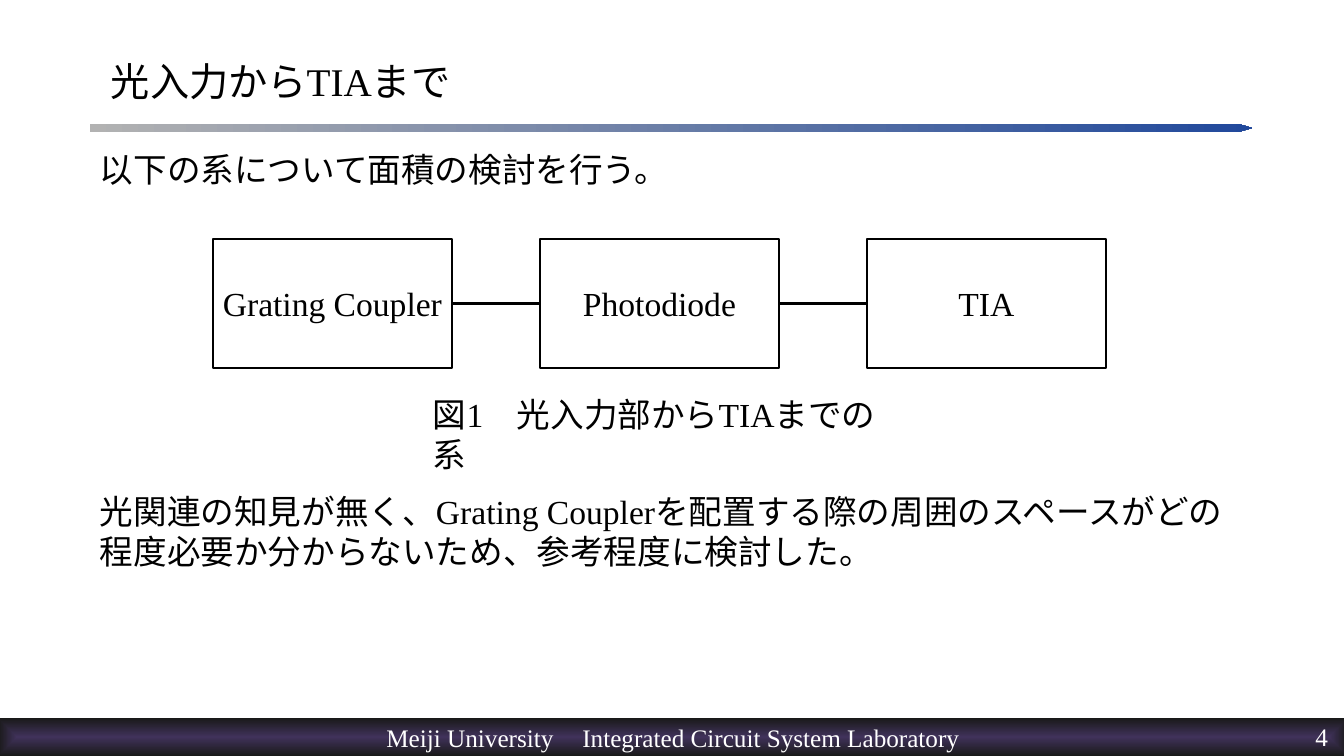
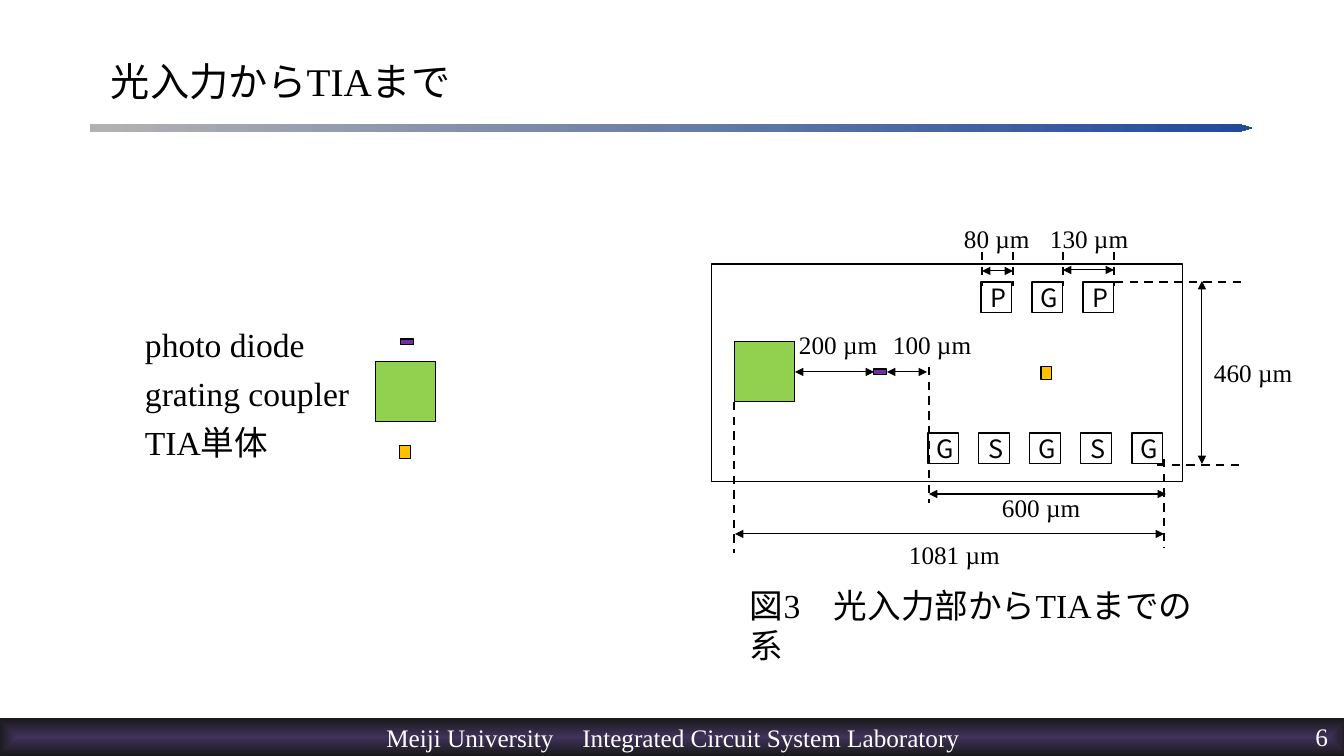
from dataclasses import dataclass
from typing import Any, Optional

from lxml import etree
from pptx import Presentation
from pptx import util as u
from pptx.dml import color
from pptx.enum import dml, shapes, text
from pptx.oxml import ns

SCALE = 914400 / 100.8
BLACK, WHITE, GREY, BLUE = "000000", "FFFFFF", "B2B2B2", "21499C"
PLUM, NIGHT = "40325A", "191919"
SERIF, SANS = "Times New Roman", "Noto Sans CJK JP"
HEAD = "光入力からTIAまで"
MID, LEFT, RIGHT = text.PP_ALIGN.CENTER, text.PP_ALIGN.LEFT, text.PP_ALIGN.RIGHT
CORE = text.MSO_ANCHOR.MIDDLE


@dataclass(frozen=True)
class Style:
    size: int = 24
    ink: str = BLACK
    face: str = SERIF
    align: Any = LEFT
    pitch: Optional[float] = None
    anchor: Any = text.MSO_ANCHOR.TOP
    inset: tuple[int, int, int, int] = (10, 5, 10, 5)
    wrap: bool = True


@dataclass(frozen=True)
class Box:
    x: int
    y: int
    w: int
    h: int
    fill: Optional[str] = None
    width: float = 0.75


@dataclass(frozen=True)
class Line:
    x: int
    y: int
    to_x: int
    to_y: int


@dataclass(frozen=True)
class Label:
    words: str
    x: int
    y: int


@dataclass(frozen=True)
class Part:
    w: int
    h: int
    fill: str


TITLE = Style(28, anchor=CORE)
BODY = Style(pitch=28.8)
NODE = Style(align=MID, anchor=CORE, inset=(0, 0, 0, 0))
NOTE = Style(18)
PAD = Style(18, face=SANS, align=MID, anchor=CORE, inset=(4, 0, 0, 0))
FOOT = Style(18, WHITE, align=MID, anchor=CORE, wrap=False)
PAGE = Style(18, WHITE, align=RIGHT, inset=(0, 0, 0, 0))

COUPLER = Part(60, 60, "92D050")
DIODE = Part(13, 6, "7030A0")
AMP = Part(11, 13, "FFC000")


def px(n: int) -> u.Emu:
    return u.Emu(round(n * SCALE))


def rgb(code: str) -> color.RGBColor:
    return color.RGBColor.from_string(code)


def apply(item: Any, values: dict[str, Any]) -> None:
    for key, value in values.items():
        setattr(item, key, value)


def child(node: Any, tag: str, **values: str) -> Any:
    return etree.SubElement(node, ns.qn(tag), values)


def write(shape: Any, lines: list[str], style: Style) -> Any:
    frame = shape.text_frame
    left, top, right, low = map(px, style.inset)
    apply(frame, {"word_wrap": style.wrap, "vertical_anchor": style.anchor,
                  "margin_left": left, "margin_top": top,
                  "margin_right": right, "margin_bottom": low})
    for i, words in enumerate(lines):
        para = frame.add_paragraph() if i else frame.paragraphs[0]
        para.alignment = style.align
        if style.pitch:
            para.line_spacing = u.Pt(style.pitch)
        if i:
            para.space_before = u.Pt(6)
        run = para.add_run()
        run.text = words
        apply(run.font, {"size": u.Pt(style.size), "name": style.face})
        run.font.color.rgb = rgb(style.ink)
        child(run.font._element, "a:ea", typeface=SANS)
    return shape


def note(slide: Any, box: Box, lines: list[str], style: Style) -> None:
    area = slide.shapes.add_textbox(*map(px, (box.x, box.y, box.w, box.h)))
    write(area, lines, style)


def rect(slide: Any, box: Box) -> Any:
    shape = slide.shapes.add_shape(shapes.MSO_SHAPE.RECTANGLE,
                                   *map(px, (box.x, box.y, box.w, box.h)))
    shape.shadow.inherit = False
    if box.fill:
        shape.fill.solid()
        shape.fill.fore_color.rgb = rgb(box.fill)
    else:
        shape.fill.background()
    shape.line.color.rgb = rgb(BLACK)
    shape.line.width = u.Pt(box.width)
    return shape


def place(slide: Any, part: Part, x: int, y: int) -> Any:
    return rect(slide, Box(x, y, part.w, part.h, part.fill))


def link(slide: Any, line: Line, width: float = 1.5, dash: bool = False,
         arrow: bool = False, start: Any = None, end: Any = None) -> None:
    wire = slide.shapes.add_connector(
        shapes.MSO_CONNECTOR.STRAIGHT,
        *map(px, (line.x, line.y, line.to_x, line.to_y)))
    if start is not None:
        wire.begin_connect(start, 3)
    if end is not None:
        wire.end_connect(end, 1)
    wire.line.color.rgb = rgb(BLACK)
    wire.line.width = u.Pt(width)
    if dash:
        wire.line.dash_style = dml.MSO_LINE.DASH
    if arrow:
        for tag in ("a:headEnd", "a:tailEnd"):
            child(wire.line._get_or_add_ln(), tag, type="triangle")
    child(wire._element.spPr, "a:effectLst")


def span(slide: Any, line: Line, start: Any = None, end: Any = None) -> None:
    link(slide, line, 0.75, arrow=True, start=start, end=end)


def band(slide: Any, box: Box, tip: float, tones: tuple[str, str]) -> Any:
    shape = slide.shapes.add_shape(shapes.MSO_SHAPE.PENTAGON,
                                   *map(px, (box.x, box.y, box.w, box.h)))
    shape.shadow.inherit = False
    shape.adjustments[0] = tip
    shape.line.fill.background()
    shape.fill.gradient()
    shape.fill.gradient_angle = 0
    for stop, tone in zip(shape.fill.gradient_stops, tones):
        stop.color.rgb = rgb(tone)
    return shape


def base(deck: Any, page: int) -> Any:
    slide = deck.slides.add_slide(deck.slide_layouts[6])
    band(slide, Box(90, 124, 1162, 8), 1.69, (GREY, BLUE))
    foot = band(slide, Box(-2, 718, 1350, 38), 0, (PLUM, NIGHT))
    grad = foot._element.spPr.find(ns.qn("a:gradFill"))
    grad.remove(grad.find(ns.qn("a:lin")))
    glow = child(grad, "a:path", path="shape")
    child(glow, "a:fillToRect", l="50000", t="50000", r="50000", b="50000")
    props = foot.text_frame.paragraphs[0]._p.get_or_add_pPr()
    tabs = child(props, "a:tabLst")
    for i in range(8):
        child(tabs, "a:tab", pos=str(px(49 * i)), algn="l")
    write(foot, ["Meiji University\tIntegrated Circuit System Laboratory"], FOOT)
    note(slide, Box(983, 721, 345, 35), [str(page)], PAGE)
    note(slide, Box(101, 27, 1139, 107), [HEAD], TITLE)
    return slide


def title(slide: Any, x: int, y: int, num: int) -> None:
    note(slide, Box(x, y, 486, 92), [f"図{num}\u3000光入力部からTIAまでの系".replace("\u3000", "　")], BODY)


def chain(deck: Any) -> None:
    slide = base(deck, 4)
    note(slide, Box(90, 144, 1150, 52), ["以下の系について面積の検討を行う。"], BODY)
    last = None
    for i, name in enumerate(("Grating Coupler", "Photodiode", "TIA")):
        x = 213 + 327 * i
        node = write(rect(slide, Box(x, 239, 239, 129, WHITE, 1.5)), [name], NODE)
        if last is not None:
            link(slide, Line(x - 88, 303, x, 303), start=last, end=node)
        last = node
    title(slide, 423, 389, 1)
    note(slide, Box(90, 486, 1150, 92),
         ["光関連の知見が無く、Grating Couplerを配置する際の周囲のスペースが"
          "どの程度必要か分からないため、参考程度に検討した。"], BODY)


def plan(deck: Any) -> None:
    slide = base(deck, 6)
    rect(slide, Box(712, 264, 471, 218))
    for line in (Line(929, 367, 929, 503), Line(1115, 282, 1247, 282),
                 Line(1157, 465, 1245, 465), Line(1164, 459, 1164, 548),
                 Line(734, 402, 734, 553)):
        link(slide, line, dash=True)
    for x in (982, 1013, 1063, 1114):
        link(slide, Line(x, 252, x, 286), dash=True)
    for line in (Line(929, 494, 1166, 494), Line(1202, 281, 1202, 464),
                 Line(982, 271, 1013, 271), Line(1063, 270, 1114, 270),
                 Line(735, 534, 1164, 534)):
        span(slide, line)
    for x, y, names in ((981, 282, "PGP"), (928, 433, "GSGSG")):
        for i, name in enumerate(names):
            write(rect(slide, Box(x + 51 * i, y, 31, 31)), [name], PAD)
    gate = place(slide, COUPLER, 735, 342)
    cell = place(slide, DIODE, 874, 369)
    place(slide, AMP, 1041, 367)
    span(slide, Line(795, 372, 874, 372), gate, cell)
    span(slide, Line(887, 372, 927, 372), cell)
    for label in (Label("600 µm", 992, 487), Label("460 µm", 1204, 352),
                  Label("130 µm", 1040, 218), Label("80 µm", 954, 218),
                  Label("100 µm", 883, 324), Label("200 µm", 789, 324),
                  Label("1081 µm", 899, 534)):
        note(slide, Box(label.x, label.y, 115, 40), [label.words], NOTE)
    note(slide, Box(135, 319, 229, 160),
         ["photo diode", "grating coupler", "TIA単体"], BODY)
    for part, x, y in ((COUPLER, 376, 362), (AMP, 400, 446), (DIODE, 401, 339)):
        place(slide, part, x, y)
    title(slide, 740, 580, 3)


def main() -> None:
    deck = Presentation()
    apply(deck, {"slide_width": px(1344), "slide_height": px(756)})
    chain(deck)
    plan(deck)
    deck.save("out.pptx")


if __name__ == "__main__":
    main()
